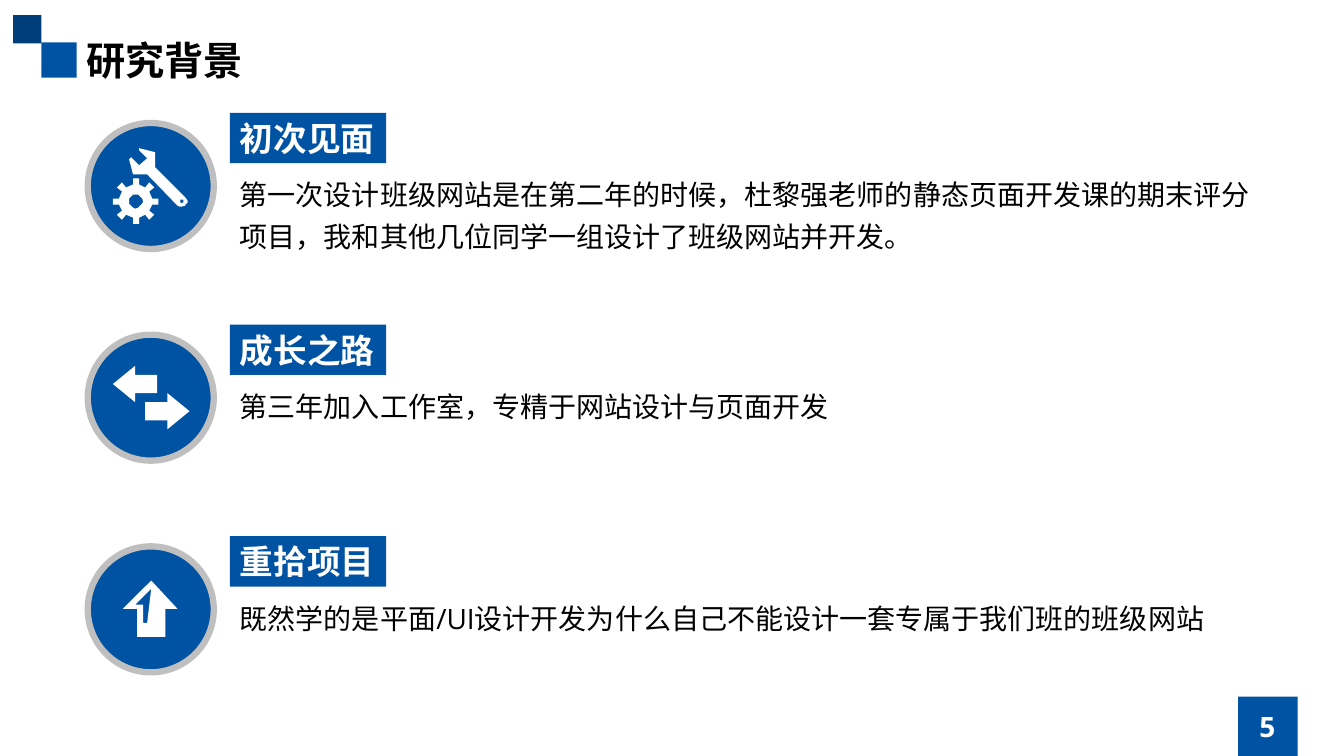
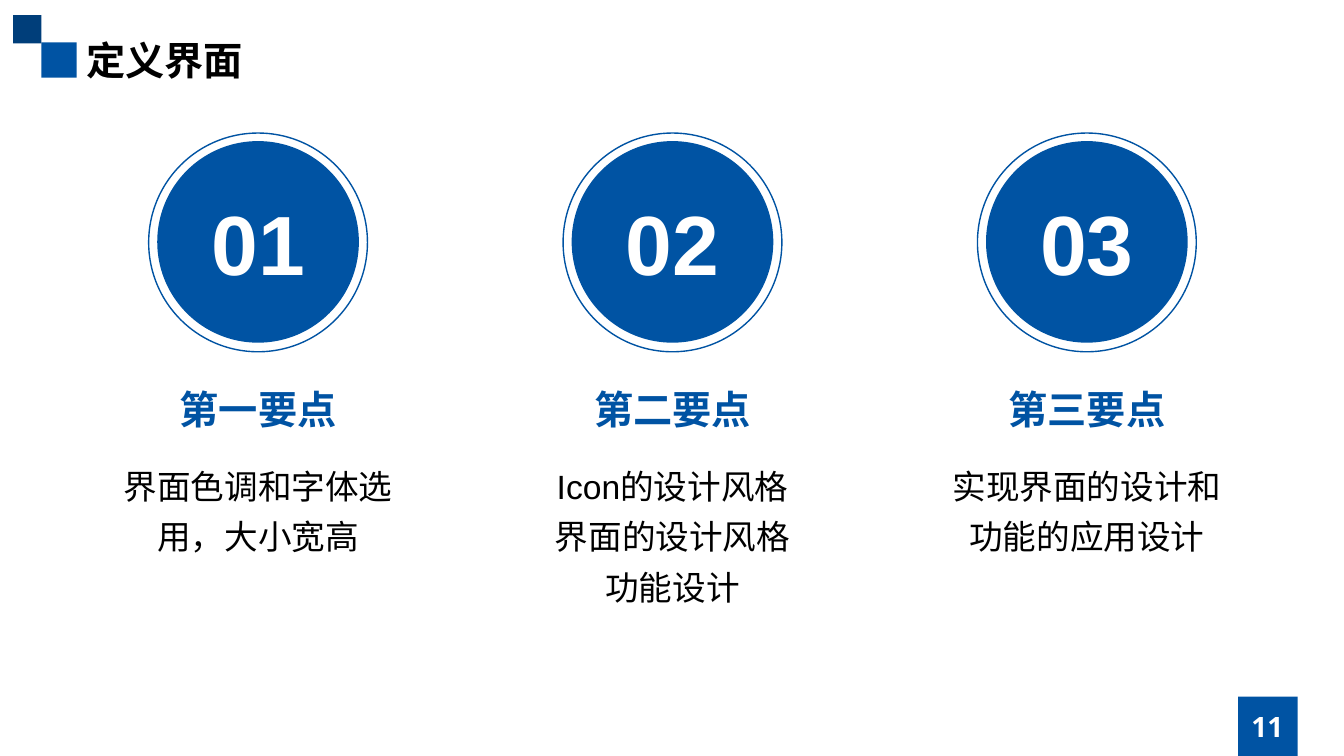
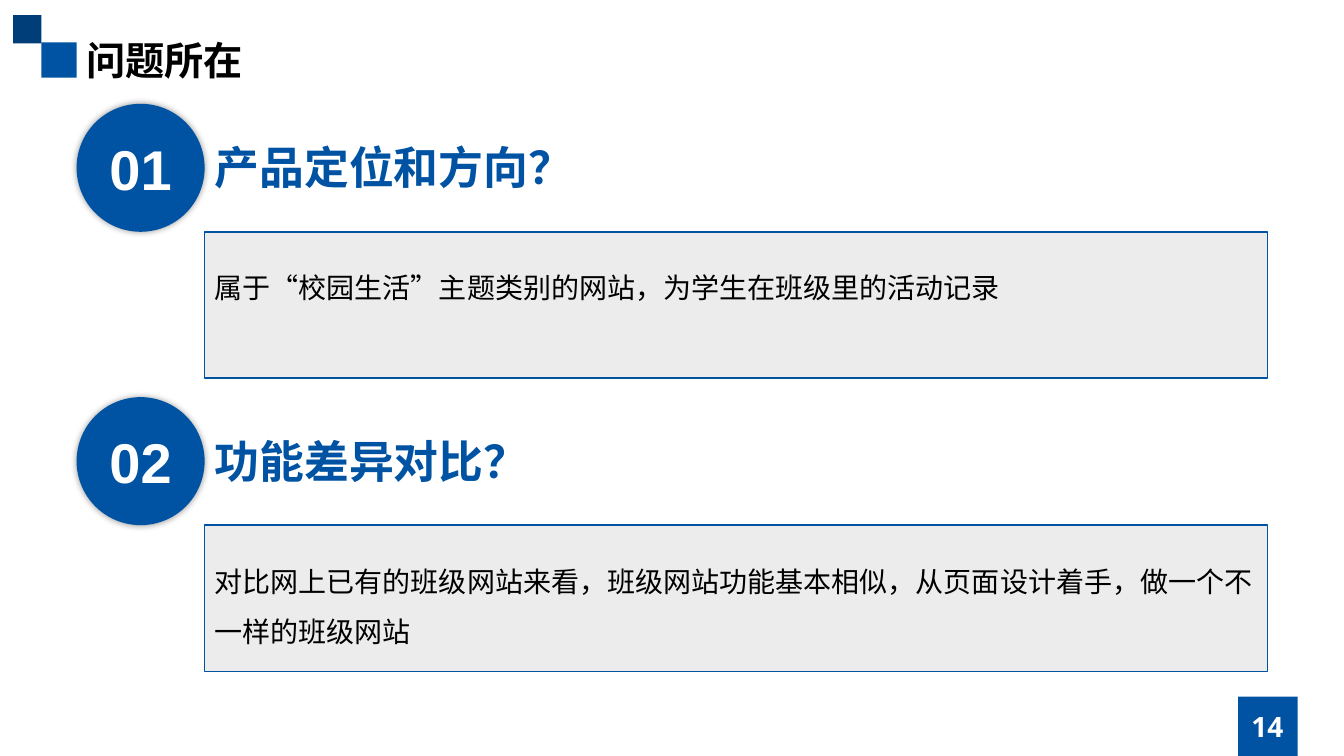
import math

import lxml.etree
import pptx
import pptx.dml.color
import pptx.enum.shapes
import pptx.enum.text
import pptx.oxml.ns
import pptx.util

Inches = pptx.util.Inches
Pt = pptx.util.Pt
RGBColor = pptx.dml.color.RGBColor
qn = pptx.oxml.ns.qn
Shape = pptx.enum.shapes.MSO_SHAPE
Align = pptx.enum.text.PP_ALIGN
Anchor = pptx.enum.text.MSO_ANCHOR
AutoSize = pptx.enum.text.MSO_AUTO_SIZE

BLUE = RGBColor(0x00, 0x53, 0xA3)
NAVY = RGBColor(0x00, 0x3E, 0x7A)
SILVER = RGBColor(0xBF, 0xBF, 0xBF)
PALE = RGBColor(0xEC, 0xEC, 0xEC)
WHITE = RGBColor(0xFF, 0xFF, 0xFF)
BLACK = RGBColor(0x00, 0x00, 0x00)

HAN = "Noto Sans CJK SC"
SANS = "Open Sans"
DIGIT = "Arial"


def ring(center_x, center_y, radius, count=16):
    """Return the points of a small round hole."""
    angles = [2 * math.pi * step / count for step in range(count)]
    return [(center_x + radius * math.cos(angle), center_y + radius * math.sin(angle))
            for angle in angles]


def gear(center_x, center_y, root=16.5, tip=22.5, half=3, teeth=8):
    """Return the outline of a cogwheel with square teeth."""
    points = []
    for tooth in range(teeth):
        angle = 2 * math.pi * tooth / teeth
        cos, sin = math.cos(angle), math.sin(angle)
        for along, across in ((root, -half), (tip, -half), (tip, half), (root, half)):
            points.append((center_x + along * cos - across * sin,
                           center_y + along * sin + across * cos))
    return points


# Icon outlines: hundredths of an inch around the centre of the badge.
WRENCH = [(35, 11), (4, -19), (4, -34), (-11, -38), (-12, -36), (-4, -28), (-12, -21),
          (-20, -29), (-21, -27), (-17, -12), (-3, -12), (27, 19), (29, 20), (31, 20),
          (34, 19), (35, 18), (36, 16), (36, 14)]
LEFT_ARROW = [(6, -4.5), (-16, -4.5), (-16, 4.5), (-38, -13.5), (-16, -31.5),
              (-16, -22.5), (6, -22.5)]
RIGHT_ARROW = [(-x, -y) for x, y in LEFT_ARROW]
UP_ARROW = [(-14, 28), (-14, 0), (-27, 0), (0, -29), (27, 0), (14, 0), (14, 28)]
GLINT = [(0, -21), (-15, -5), (-8, -5), (-8, 13), (-4, 13)]

# Each icon is a list of outlines, each outline a list of contours.
TOOLS_ICON = [[gear(-15, 15), ring(-15, 15, 7)], [WRENCH, ring(31, 15, 2)]]
SWAP_ICON = [[LEFT_ARROW, RIGHT_ARROW]]
UP_ICON = [[UP_ARROW, GLINT]]


class Deck:
    """Holds the presentation, its style and the slide being filled."""

    def __init__(self):
        """Start an empty widescreen presentation."""
        self.show = pptx.Presentation()
        self.show.slide_width = Inches(13.33)
        self.show.slide_height = Inches(7.5)
        self.page = None
        self.shapes = None

    def start_page(self, title, number):
        """Add a slide with the corner squares, title and page number."""
        self.page = self.show.slides.add_slide(self.show.slide_layouts[6])
        self.end_group()
        self.shape(Shape.RECTANGLE, 0.41, 0.42, 0.35, 0.35, BLUE)
        self.shape(Shape.RECTANGLE, 0.13, 0.15, 0.28, 0.28, NAVY)
        self.shape(Shape.RECTANGLE, 12.28, 6.91, 0.59, 0.59, BLUE)
        self.text(0.76, 0.31, 5.91, 0.57, [title], 28, HAN, BLACK, bold=True)
        box = self.text(11.81, 7.01, 1.52, 0.4, [str(number)], 20, SANS, WHITE,
                        bold=True, align=Align.CENTER)
        box.text_frame.auto_size = AutoSize.NONE
        box.text_frame.vertical_anchor = Anchor.MIDDLE

    def start_group(self):
        """Send the next elements into a new group."""
        self.shapes = self.page.shapes.add_group_shape().shapes

    def end_group(self):
        """Send the next elements straight onto the slide."""
        self.shapes = self.page.shapes

    def paint(self, shape, fill=None, line=None, width=1):
        """Set fill and outline and remove the shadow."""
        shape.shadow.inherit = False
        if fill is None:
            shape.fill.background()
        else:
            shape.fill.solid()
            shape.fill.fore_color.rgb = fill
        if line is None:
            shape.line.fill.background()
        else:
            shape.line.color.rgb = line
            shape.line.width = Pt(width)

    def shape(self, kind, left, top, width, height, fill=None, line=None, weight=1):
        """Add a preset shape."""
        shape = self.shapes.add_shape(kind, Inches(left), Inches(top),
                                      Inches(width), Inches(height))
        self.paint(shape, fill, line, weight)
        return shape

    def set_text(self, frame, lines, size, font, color, bold=False,
                 align=Align.LEFT, spacing=None):
        """Fill a text frame, one paragraph a line."""
        for index, line in enumerate(lines):
            para = frame.add_paragraph() if index else frame.paragraphs[0]
            para.text = line
            para.alignment = align
            if spacing:
                para.line_spacing = spacing
            para.font.size = Pt(size)
            para.font.bold = bold
            para.font.color.rgb = color
            para.font.name = font
            defaults = para._p.pPr.find(qn("a:defRPr"))
            lxml.etree.SubElement(defaults, qn("a:ea"), typeface=HAN)

    def text(self, left, top, width, height, lines, size, font, color, **style):
        """Add a wrapping text box that grows with its text."""
        box = self.shapes.add_textbox(Inches(left), Inches(top),
                                      Inches(width), Inches(height))
        box.text_frame.word_wrap = True
        box.text_frame.auto_size = AutoSize.SHAPE_TO_FIT_TEXT
        self.set_text(box.text_frame, lines, size, font, color, **style)
        return box

    def label(self, left, top, words):
        """Add a blue heading label."""
        label = self.shape(Shape.RECTANGLE, left, top, 1.55, 0.5, BLUE)
        frame = label.text_frame
        frame.word_wrap = False
        frame.auto_size = AutoSize.SHAPE_TO_FIT_TEXT
        frame.vertical_anchor = Anchor.TOP
        self.set_text(frame, [words], 24, SANS, WHITE, bold=True)

    def disc(self, left, top, diameter, number, size):
        """Add a blue disc with a two-digit number."""
        disc = self.shape(Shape.OVAL, left, top, diameter, diameter, BLUE)
        disc.text_frame.vertical_anchor = Anchor.MIDDLE
        self.set_text(disc.text_frame, [f"{number:02d}"], size, DIGIT, WHITE,
                      bold=True, align=Align.CENTER)
        return disc

    def glow(self, shape):
        """Give a shape a soft shadow on all sides."""
        effects = shape._element.spPr.find(qn("a:effectLst"))
        shadow = lxml.etree.SubElement(effects, qn("a:outerShdw"),
                                       blurRad=str(Pt(5)), dist="0", dir="0")
        color = lxml.etree.SubElement(shadow, qn("a:srgbClr"), val=str(BLACK))
        lxml.etree.SubElement(color, qn("a:alpha"), val="40000")

    def badge(self, left, top, icon, diameter=1.25):
        """Add a ringed disc with a white icon."""
        self.start_group()
        self.shape(Shape.OVAL, left, top, diameter, diameter, BLUE, SILVER, 4.5)
        center_x = 100 * (left + diameter / 2)
        center_y = 100 * (top + diameter / 2)
        for contours in icon:
            placed = [[(center_x + x, center_y + y) for x, y in contour]
                      for contour in contours]
            builder = self.shapes.build_freeform(*placed[0][0], scale=Inches(0.01))
            builder.add_line_segments(placed[0][1:], close=True)
            for contour in placed[1:]:
                builder.move_to(*contour[0])
                builder.add_line_segments(contour[1:], close=True)
            self.paint(builder.convert_to_shape(), WHITE)
        self.end_group()


def background_page(deck):
    """Three badges, each with a label and a sentence."""
    deck.start_page("研究背景", 5)
    rows = [
        (TOOLS_ICON, "初次见面", 0.9,
         "第一次设计班级网站是在第二年的时候，杜黎强老师的静态页面开发课的期末评分"
         "项目，我和其他几位同学一组设计了班级网站并开发。"),
        (SWAP_ICON, "成长之路", 0.48, "第三年加入工作室，专精于网站设计与页面开发"),
        (UP_ICON, "重拾项目", 0.48,
         "既然学的是平面/UI设计开发为什么自己不能设计一套专属于我们班的班级网站"),
    ]
    for index, (icon, heading, height, sentence) in enumerate(rows):
        top = 1.12 + 2.1 * index
        deck.badge(0.87, top + 0.1, icon)
        deck.text(2.28, top + 0.51, 10.29, height, [sentence], 20, SANS, BLACK,
                  spacing=1.25)
        deck.label(2.28, top, heading)


def interface_page(deck):
    """Three numbered columns."""
    deck.start_page("定义界面", 11)
    columns = [
        ("第一要点", 1.11, ["界面色调和字体选用，大小宽高"]),
        ("第二要点", 1.62, ["Icon的设计风格", "界面的设计风格", "功能设计"]),
        ("第三要点", 1.11, ["实现界面的设计和功能的应用设计"]),
    ]
    for index, (heading, height, lines) in enumerate(columns):
        center = 6.67 + 4.11 * (index - 1)
        deck.start_group()
        deck.disc(center - 1, 1.4, 2, index + 1, 60)
        deck.shape(Shape.OVAL, center - 2.17 / 2, 1.32, 2.17, 2.17, line=BLUE)
        deck.end_group()
        deck.text(center - 2.17 / 2, 3.77, 2.17, 0.57, [heading], 28, DIGIT, BLUE,
                  bold=True, align=Align.CENTER)
        deck.text(center - 2.95 / 2, 4.47, 2.95, height, lines, 24, DIGIT, BLACK,
                  align=Align.CENTER, spacing=1.25)


def problem_page(deck):
    """Two numbered questions, each with an answer panel."""
    deck.start_page("问题所在", 14)
    questions = [
        ("产品定位和方向？", 0.61, "属于“校园生活”主题类别的网站，为学生在班级里的活动记录"),
        ("功能差异对比？", 1.05,
         "对比网上已有的班级网站来看，班级网站功能基本相似，从页面设计着手，"
         "做一个不一样的班级网站"),
    ]
    for index, (question, height, answer) in enumerate(questions):
        top = 1.03 + 2.91 * index
        deck.glow(deck.disc(0.76, top, 1.27, index + 1, 40))
        deck.text(2.03, top + 0.31, 5.91, 0.64, [question], 32, HAN, BLUE, bold=True)
        deck.start_group()
        deck.shape(Shape.RECTANGLE, 2.03, top + 1.27, 10.54, 1.45, PALE, BLUE)
        deck.text(2.03, top + 1.44, 10.54, height, [answer], 20, SANS, BLACK,
                  spacing=1.5)
        deck.end_group()


def main():
    """Build and save the three slides."""
    deck = Deck()
    background_page(deck)
    interface_page(deck)
    problem_page(deck)
    deck.show.save("out.pptx")


main()
